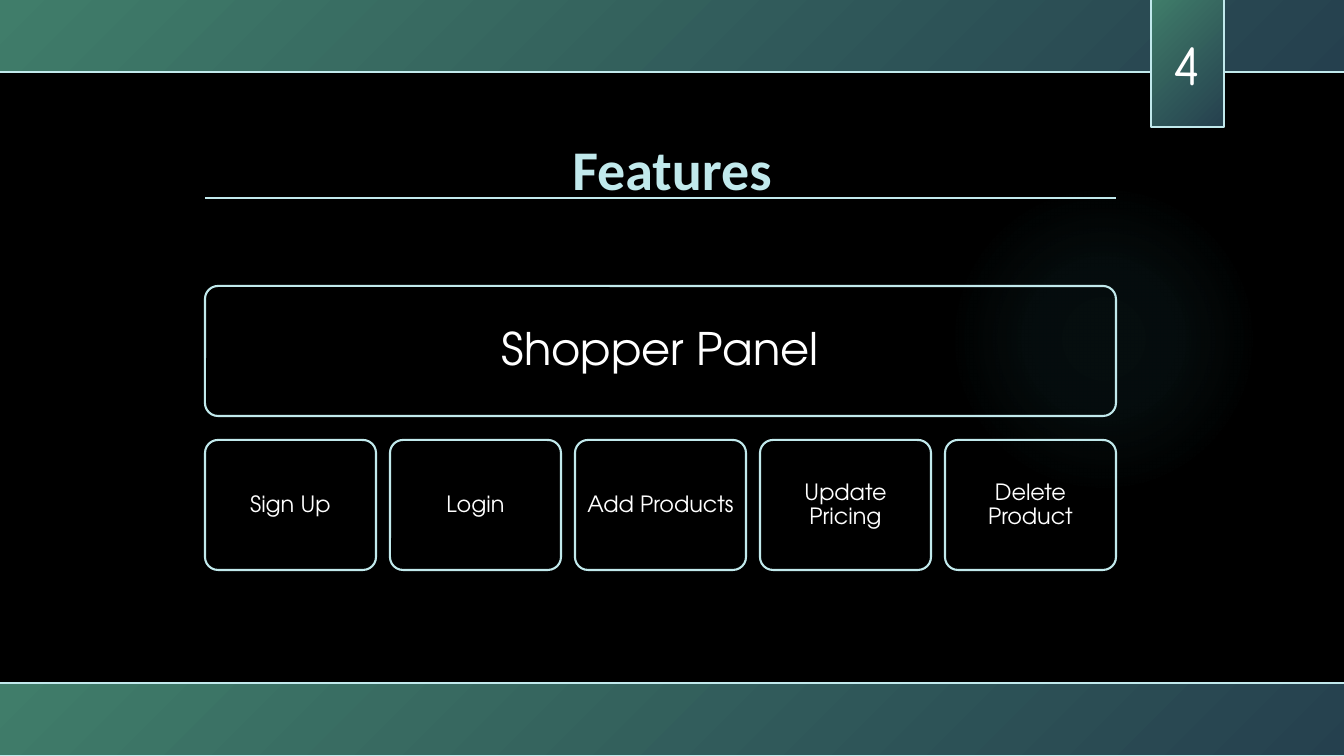
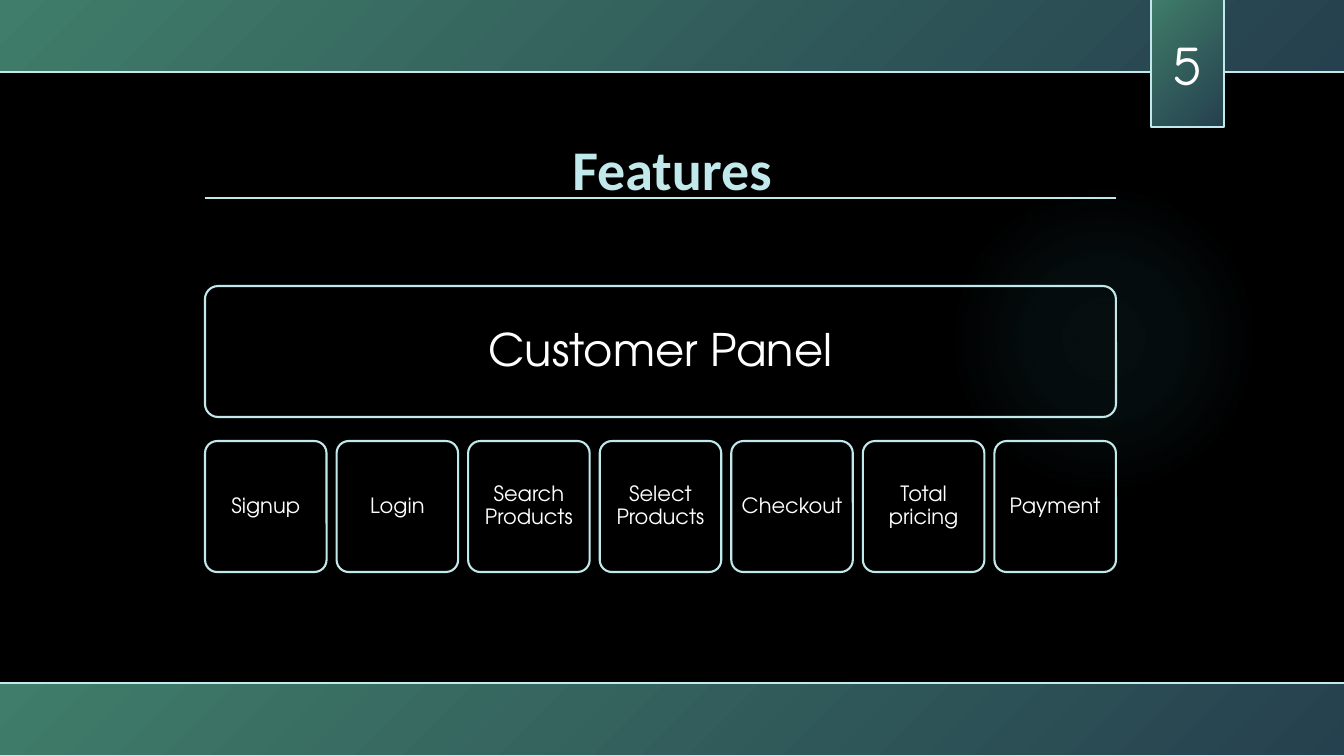
from pptx import Presentation
from pptx.dml.color import RGBColor
from pptx.enum.shapes import MSO_CONNECTOR, MSO_SHAPE
from pptx.enum.text import MSO_ANCHOR, PP_ALIGN
from pptx.oxml import parse_xml
from pptx.oxml.ns import nsdecls
from pptx.util import Pt

RECTANGLE = MSO_SHAPE.RECTANGLE
ROUNDED = MSO_SHAPE.ROUNDED_RECTANGLE
OVAL = MSO_SHAPE.OVAL
STRAIGHT = MSO_CONNECTOR.STRAIGHT
CENTER = PP_ALIGN.CENTER
TOP = MSO_ANCHOR.TOP
MIDDLE = MSO_ANCHOR.MIDDLE

SLIDE_WIDTH, SLIDE_HEIGHT = 1344, 756
SCALE = 12192000 / SLIDE_WIDTH

COLORS = {
    "background": "000000",
    "outline": "C1E9EC",
    "text": "FFFFFF",
    "band_start": "407D6A",
    "band_end": "25404E",
    "glow": "4CB9C3",
}
BAND_STOPS = [(0, "band_start", 100), (100, "band_end", 100)]
GLOW_STOPS = [(0, "glow", 7), (36, "glow", 6), (69, "glow", 0), (100, "glow", 0)]
BAND_FOCUS = (0, 0, 100, 100)
GLOW_FOCUS = (50, 50, 50, 50)

FORMATS = {
    "number": {"font": {"name": "Comic Neue", "size": Pt(40)}, "color": "text",
               "anchor": MIDDLE, "spacing": 1.0, "insets": (10, 5)},
    "title": {"font": {"name": "Calibri", "size": Pt(40), "bold": True}, "color": "outline",
              "anchor": TOP, "spacing": 1.0, "insets": (10, 5)},
    "panel": {"font": {"name": "TeX Gyre Adventor", "size": Pt(32)}, "color": "text",
              "anchor": MIDDLE, "spacing": 0.9, "insets": (13, 13)},
    "feature": {"font": {"name": "TeX Gyre Adventor"}, "color": "text",
                "anchor": MIDDLE, "spacing": 0.9, "insets": (5, 5)},
}

CONTENT_LEFT, CONTENT_WIDTH = 205, 911
RULE_TOP = 198
PANEL_TOP = 286
ROW_GAP = 24
FIRST_NUMBER = 4
SLIDES = [
    {"panel": "Shopper Panel", "height": 130, "gap": 14, "size": 16,
     "features": ["Sign Up", "Login", "Add Products", "Update Pricing", "Delete Product"]},
    {"panel": "Customer Panel", "height": 131, "gap": 10, "size": 15,
     "features": ["Signup", "Login", "Search Products", "Select Products", "Checkout",
                  "Total pricing", "Payment"]},
]


def add_box(slide, kind, box, outlined=True, stops=None, focus=BAND_FOCUS):
    shape = slide.shapes.add_shape(kind, *[round(value * SCALE) for value in box])
    shape.shadow.inherit = False
    shape.fill.background()
    if kind == ROUNDED:
        shape.adjustments[0] = 0.1
    if outlined:
        shape.line.color.rgb = RGBColor.from_string(COLORS["outline"])
        shape.line.width = Pt(1.5)
    else:
        shape.line.fill.background()
    if stops:
        stop_list = "".join(
            f'<a:gs pos="{position * 1000}"><a:srgbClr val="{COLORS[color]}">'
            f'<a:alpha val="{opacity * 1000}"/></a:srgbClr></a:gs>'
            for position, color, opacity in stops)
        left, top, right, bottom = [value * 1000 for value in focus]
        gradient = parse_xml(
            f'<a:gradFill {nsdecls("a")} rotWithShape="1"><a:gsLst>{stop_list}</a:gsLst>'
            f'<a:path path="circle"><a:fillToRect l="{left}" t="{top}" r="{right}" b="{bottom}"/>'
            '</a:path></a:gradFill>')
        properties = shape._element.spPr
        properties.replace(properties.find("{*}noFill"), gradient)
    return shape


def write_text(shape, text, style, **font_changes):
    values = FORMATS[style]
    horizontal, vertical = [round(value * SCALE) for value in values["insets"]]
    frame = shape.text_frame
    frame_values = {"word_wrap": True, "vertical_anchor": values["anchor"],
                    "margin_left": horizontal, "margin_right": horizontal,
                    "margin_top": vertical, "margin_bottom": vertical}
    for name, value in frame_values.items():
        setattr(frame, name, value)
    paragraph = frame.paragraphs[0]
    paragraph.alignment = CENTER
    paragraph.line_spacing = values["spacing"]
    run = paragraph.add_run()
    run.text = text
    for name, value in {**values["font"], **font_changes}.items():
        setattr(run.font, name, value)
    run.font.color.rgb = RGBColor.from_string(COLORS[values["color"]])


presentation = Presentation()
presentation.slide_width = round(SLIDE_WIDTH * SCALE)
presentation.slide_height = round(SLIDE_HEIGHT * SCALE)
blank_layout = presentation.slide_layouts[6]

for number, content in enumerate(SLIDES, start=FIRST_NUMBER):
    slide = presentation.slides.add_slide(blank_layout)
    slide.background.fill.solid()
    slide.background.fill.fore_color.rgb = RGBColor.from_string(COLORS["background"])

    add_box(slide, OVAL, (949, 184, 310, 310), False, GLOW_STOPS, GLOW_FOCUS)
    for band_top in (-1, 683):
        add_box(slide, RECTANGLE, (-2, band_top, 1357, 73), stops=BAND_STOPS)
    number_tab = add_box(slide, RECTANGLE, (1151, -1, 73, 128), stops=BAND_STOPS)
    write_text(number_tab, str(number), "number")

    title_box = [round(value * SCALE) for value in (0, 129, SLIDE_WIDTH, 78)]
    title = slide.shapes.add_textbox(*title_box)
    write_text(title, "Features", "title")

    rule_ends = (CONTENT_LEFT, RULE_TOP, CONTENT_LEFT + CONTENT_WIDTH, RULE_TOP)
    rule = slide.shapes.add_connector(STRAIGHT, *[round(value * SCALE) for value in rule_ends])
    rule.line.color.rgb = RGBColor.from_string(COLORS["outline"])
    rule.line.width = Pt(0.75)
    rule._element.spPr.append(parse_xml(f'<a:effectLst {nsdecls("a")}/>'))

    height, gap, features = content["height"], content["gap"], content["features"]
    panel = add_box(slide, ROUNDED, (CONTENT_LEFT, PANEL_TOP, CONTENT_WIDTH, height))
    write_text(panel, content["panel"], "panel")

    row_top = PANEL_TOP + height + ROW_GAP
    feature_width = (CONTENT_WIDTH - gap * (len(features) - 1)) / len(features)
    for index, feature in enumerate(features):
        left = CONTENT_LEFT + index * (feature_width + gap)
        card = add_box(slide, ROUNDED, (left, row_top, feature_width, height))
        write_text(card, feature, "feature", size=Pt(content["size"]))

presentation.save("out.pptx")
